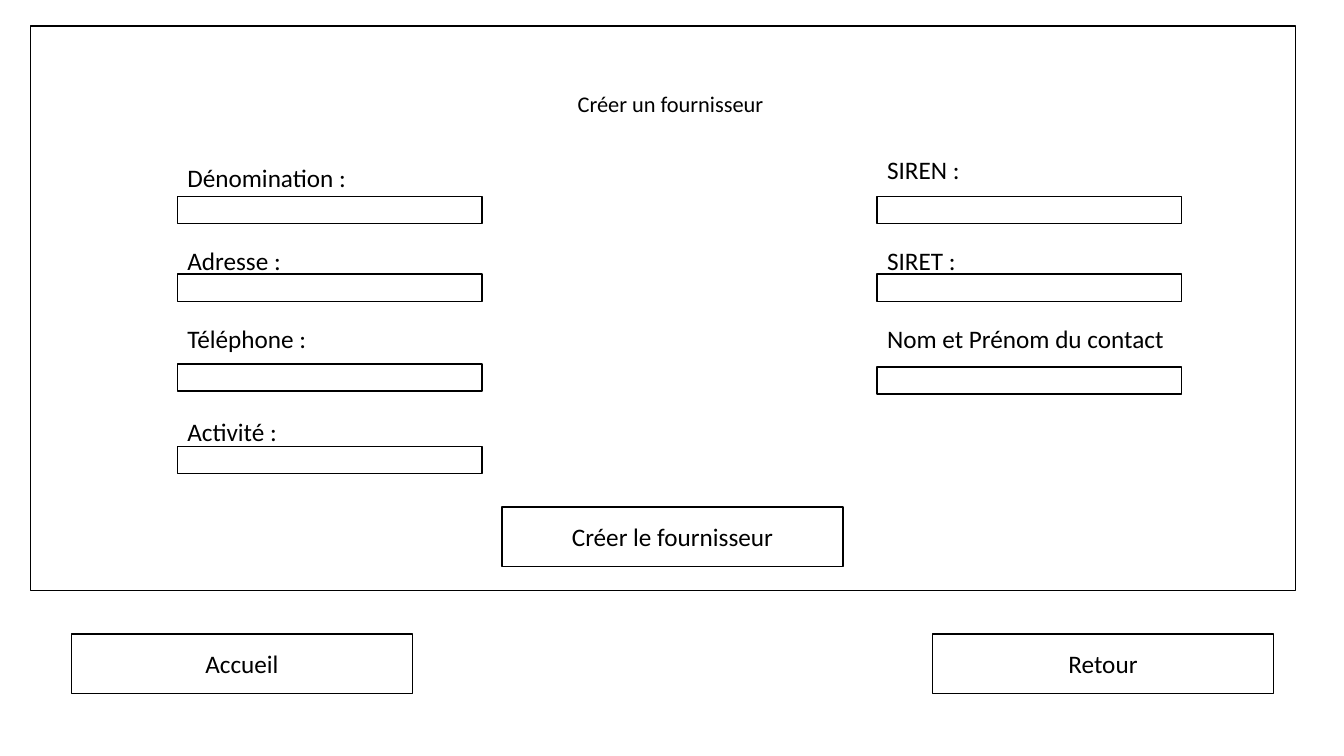
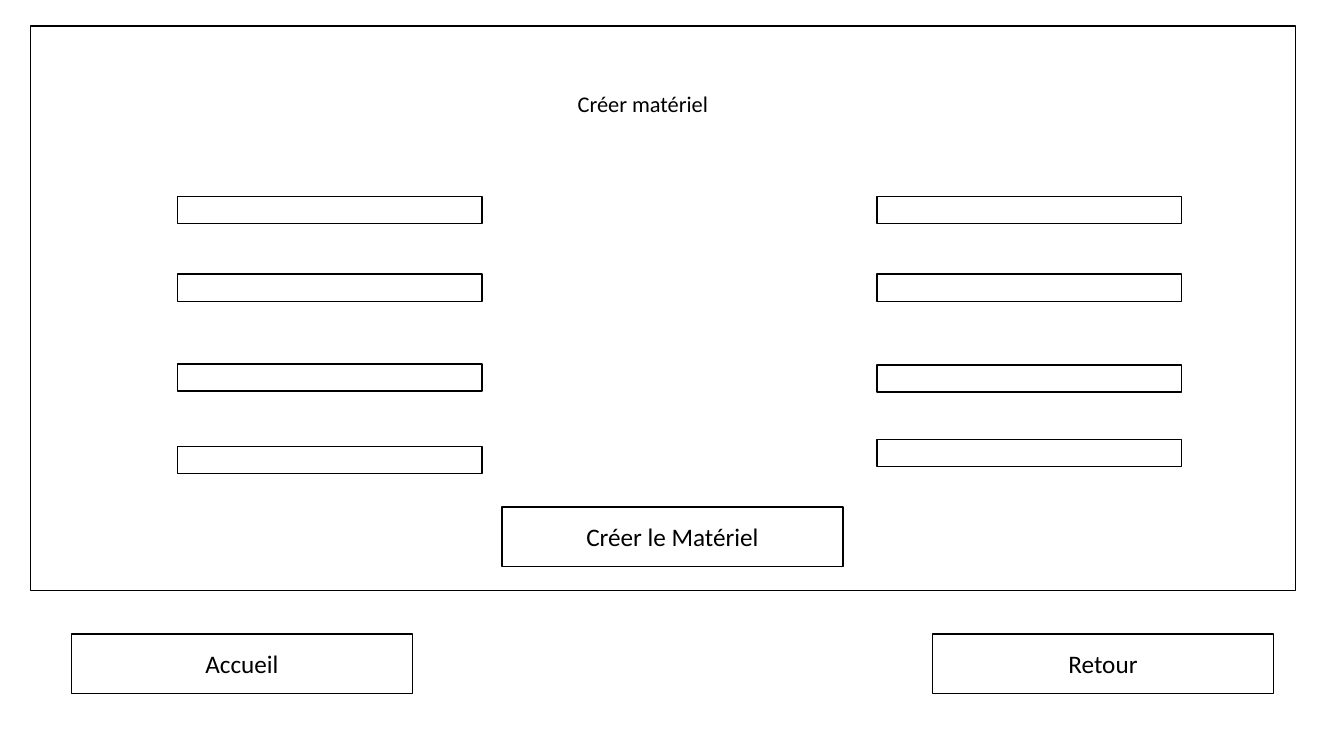
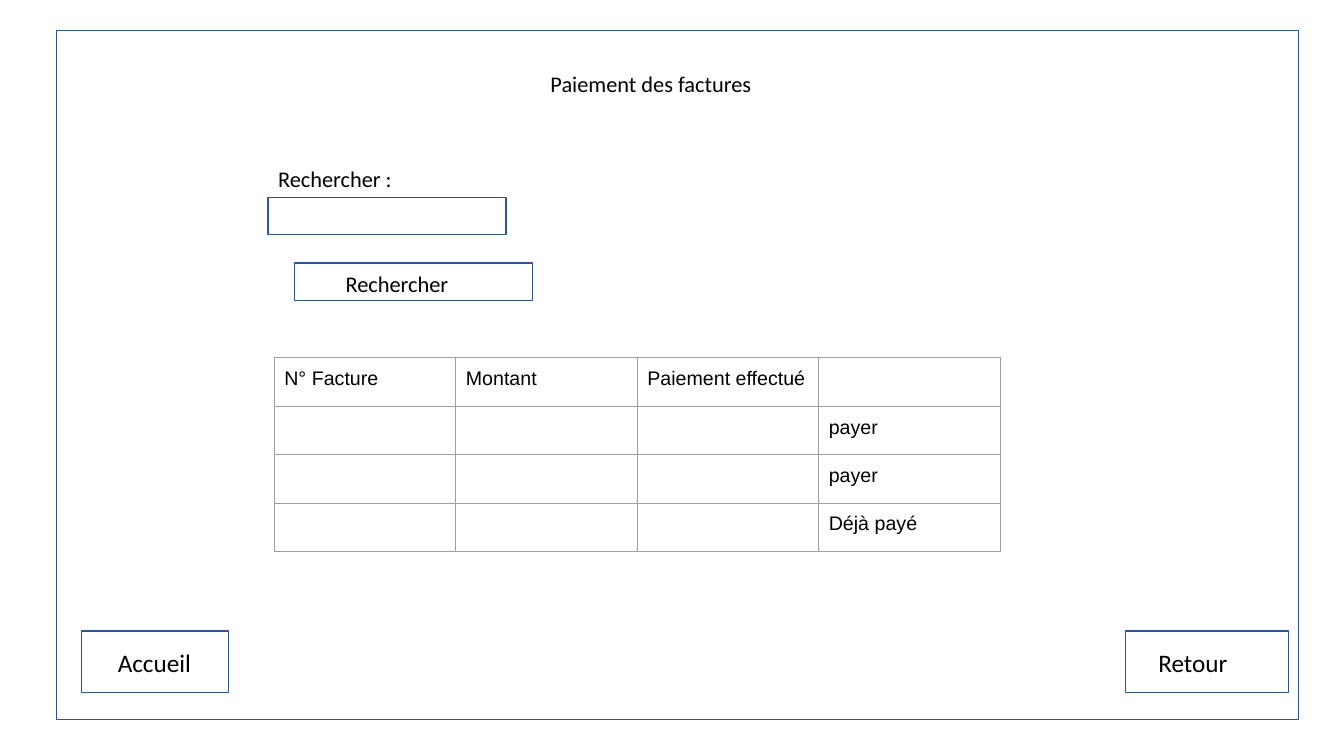
from dataclasses import dataclass
from typing import Optional

from lxml import etree
from pptx import Presentation
from pptx.dml.color import RGBColor
from pptx.enum.shapes import MSO_SHAPE
from pptx.enum.text import MSO_ANCHOR, MSO_AUTO_SIZE, PP_ALIGN
from pptx.oxml import parse_xml
from pptx.oxml.ns import nsdecls, qn
from pptx.util import Pt

RECTANGLE = MSO_SHAPE.RECTANGLE
LEFT, CENTER = PP_ALIGN.LEFT, PP_ALIGN.CENTER
TOP, MIDDLE = MSO_ANCHOR.TOP, MSO_ANCHOR.MIDDLE
NO_AUTOFIT = MSO_AUTO_SIZE.NONE

EMU_PER_PX = 9144  # 100 px to the inch
TITLE_ONLY = 5
COLORS = {"white": "FFFFFF", "black": "000000", "blue": "31538F", "grey": "9E9E9E"}
FORM_FONT, TABLE_FONT = "Calibri", "Arial"
TITLE_SIZE, FORM_SIZE, TABLE_SIZE = 16, 18, 14


@dataclass(frozen=True)
class Area:
    left: int
    top: int
    width: int
    height: int

    def emu(self) -> list[int]:
        return [n * EMU_PER_PX for n in (self.left, self.top, self.width, self.height)]


@dataclass(frozen=True)
class Field:
    left: int
    top: int
    label: str = ""
    label_top: int = 0


@dataclass(frozen=True)
class Form:
    title: str
    submit: str
    fields: list[Field]


@dataclass(frozen=True)
class Label:
    text: str
    area: Area
    size: int = FORM_SIZE


# Shared layout of the forms
FORM_FRAME = Area(30, 26, 1255, 560)
FORM_TITLE = Area(563, 84, 208, 37)
FIELD_WIDTH, FIELD_HEIGHT, LABEL_HEIGHT = 302, 27, 40
COLUMN_1, COLUMN_2 = 176, 870
BUTTON_WIDTH, BUTTON_HEIGHT = 338, 59

FORMS = [
    Form("Créer un fournisseur", "Créer le fournisseur", [
        Field(COLUMN_1, 195, "Dénomination :", 156),
        Field(COLUMN_1, 272, "Adresse :", 238),
        Field(COLUMN_1, 361, "Téléphone :", 316),
        Field(COLUMN_1, 443, "Activité :", 408),
        Field(COLUMN_2, 195, "SIREN :", 148),
        Field(COLUMN_2, 272, "SIRET :", 238),
        Field(COLUMN_2, 364, "Nom et Prénom du contact", 316),
    ]),
    Form("Créer matériel", "Créer le Matériel", [
        *(Field(COLUMN_1, top) for top in (195, 272, 361, 443)),
        *(Field(COLUMN_2, top) for top in (195, 272, 362, 436)),
    ]),
]

# Invoice payment page
INVOICE_FRAME = Area(56, 30, 1232, 684)
INVOICE_TITLE = Area(536, 65, 263, 37)
INVOICE_BOXES = [
    Area(266, 196, 236, 37),  # search field
    Area(292, 261, 236, 37),  # search button
    Area(81, 626, 146, 61),  # home button
    Area(1116, 626, 162, 61),  # back button
]
INVOICE_LABELS = [
    Label("Rechercher :", Area(266, 159, 263, 37), TITLE_SIZE),
    Label("Rechercher", Area(333, 263, 127, 37), TITLE_SIZE),
    Label("Accueil", Area(107, 637, 146, 40)),
    Label("Retour", Area(1139, 637, 162, 40)),
]
INVOICE_TABLE = Area(272, 355, 720, 192)
INVOICE_ROWS = [
    ["N° Facture", "Montant", "Paiement effectué", ""],
    ["", "", "", "payer"],
    ["", "", "", "payer"],
    ["", "", "", "Déjà payé"],
]


def color(name: str) -> RGBColor:
    return RGBColor.from_string(COLORS[name])


def write(frame, text: str, size: int, font: str = FORM_FONT, align=LEFT, anchor=TOP) -> None:
    frame.word_wrap = True
    frame.auto_size = NO_AUTOFIT
    frame.vertical_anchor = anchor
    paragraph = frame.paragraphs[0]
    paragraph.alignment = align
    run = paragraph.add_run()
    run.text = text
    run.font.name = font
    run.font.size = Pt(size)
    run.font.color.rgb = color("black")


def add_box(slide, area: Area, line: str, fill: Optional[str] = None, text: str = ""):
    shape = slide.shapes.add_shape(RECTANGLE, *area.emu())
    shape.shadow.inherit = False
    if fill:
        shape.fill.solid()
        shape.fill.fore_color.rgb = color(fill)
    else:
        shape.fill.background()
    shape.line.color.rgb = color(line)
    shape.line.width = Pt(1)
    if text:
        write(shape.text_frame, text, FORM_SIZE, align=CENTER, anchor=MIDDLE)
    return shape


def add_label(slide, label: Label) -> None:
    box = slide.shapes.add_textbox(*label.area.emu())
    write(box.text_frame, label.text, label.size)


def add_page(presentation, title: str, title_area: Area, frame_area: Area,
             line: str, fill: Optional[str] = None):
    """Add a slide with its frame behind the title."""
    slide = presentation.slides.add_slide(presentation.slide_layouts[TITLE_ONLY])
    heading = slide.shapes.title
    heading.left, heading.top, heading.width, heading.height = title_area.emu()
    write(heading.text_frame, title, TITLE_SIZE)
    frame = add_box(slide, frame_area, line, fill)
    heading.element.addprevious(frame.element)
    return slide


def add_form(presentation, form: Form) -> None:
    slide = add_page(presentation, form.title, FORM_TITLE, FORM_FRAME, "black", "white")
    for field in form.fields:
        area = Area(field.left, field.top, FIELD_WIDTH, FIELD_HEIGHT)
        add_box(slide, area, "black", "white")
    for field in form.fields:
        if field.label:
            area = Area(field.left, field.label_top, FIELD_WIDTH, LABEL_HEIGHT)
            add_label(slide, Label(field.label, area))
    for text, left, top in ((form.submit, 498, 503), ("Retour", 925, 629), ("Accueil", 71, 629)):
        area = Area(left, top, BUTTON_WIDTH, BUTTON_HEIGHT)
        add_box(slide, area, "black", "white", text)


def add_table(slide, area: Area, rows: list[list[str]]) -> None:
    graphic = slide.shapes.add_table(len(rows), len(rows[0]), *area.emu())
    table = graphic.table
    table.first_row = table.horz_banding = False
    for row_index, row in enumerate(rows):
        for column_index, text in enumerate(row):
            cell = table.cell(row_index, column_index)
            cell.margin_left = cell.margin_right = 10 * EMU_PER_PX
            cell.margin_top = cell.margin_bottom = 10 * EMU_PER_PX
            cell.fill.background()
            if text:
                write(cell.text_frame, text, TABLE_SIZE, TABLE_FONT)
    # Borders, and the text size of empty cells
    for cell_xml in graphic.element.iter(qn("a:tc")):
        properties = cell_xml.find(qn("a:tcPr"))
        for index, side in enumerate(("lnL", "lnR", "lnT", "lnB")):
            properties.insert(index, parse_xml(
                f'<a:{side} {nsdecls("a")} w="{Pt(0.75)}"><a:solidFill>'
                f'<a:srgbClr val="{COLORS["grey"]}"/></a:solidFill></a:{side}>'))
        for paragraph in cell_xml.iter(qn("a:p")):
            if paragraph.find(qn("a:r")) is None:
                etree.SubElement(paragraph, qn("a:endParaRPr"), sz=str(TABLE_SIZE * 100))


def add_invoices(presentation) -> None:
    slide = add_page(presentation, "Paiement des factures", INVOICE_TITLE, INVOICE_FRAME, "blue")
    for area in INVOICE_BOXES:
        add_box(slide, area, "blue")
    for label in INVOICE_LABELS:
        add_label(slide, label)
    add_table(slide, INVOICE_TABLE, INVOICE_ROWS)


def main() -> None:
    presentation = Presentation()
    presentation.slide_width = 1333 * EMU_PER_PX
    presentation.slide_height = 750 * EMU_PER_PX
    for form in FORMS:
        add_form(presentation, form)
    add_invoices(presentation)
    presentation.save("out.pptx")


if __name__ == "__main__":
    main()
